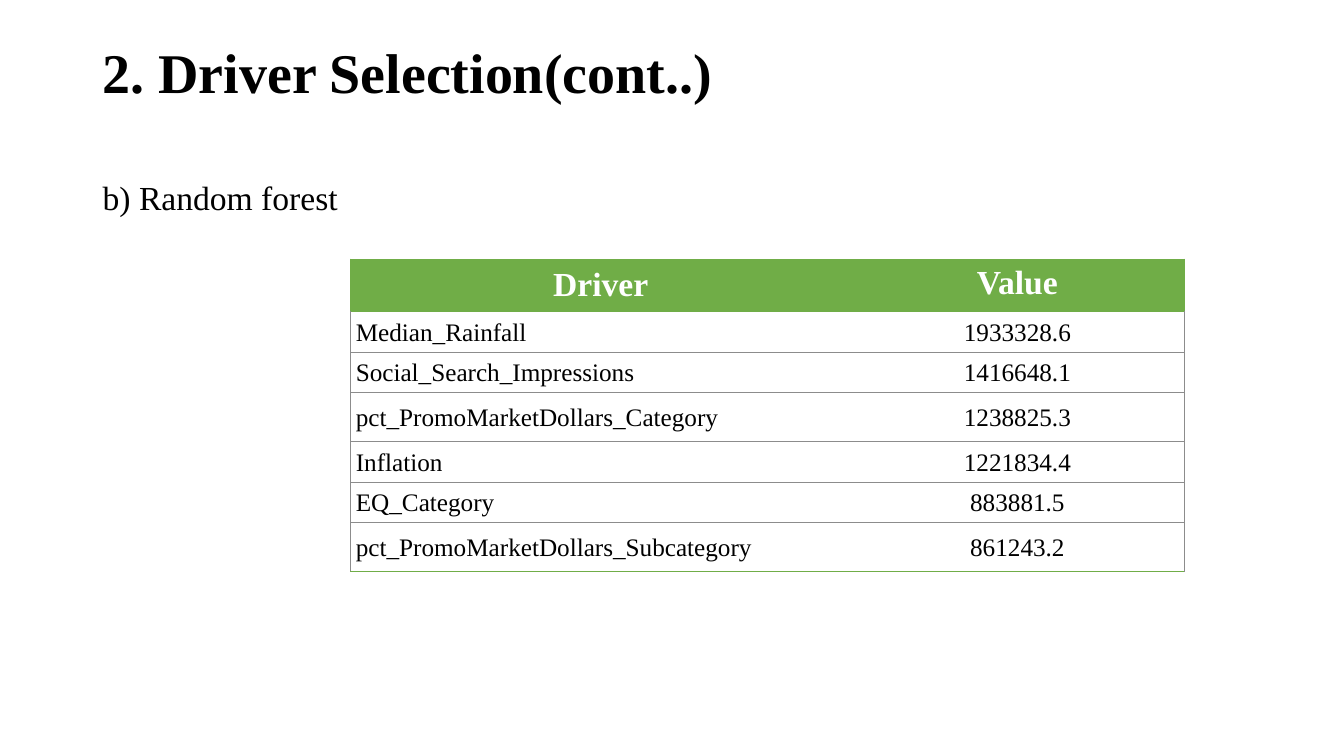
from lxml import etree
from pptx import Presentation
from pptx.dml.color import RGBColor
from pptx.enum.text import MSO_ANCHOR, PP_ALIGN
from pptx.oxml.ns import qn
from pptx.util import Inches, Pt

TOP, MIDDLE = MSO_ANCHOR.TOP, MSO_ANCHOR.MIDDLE
LEFT, CENTER = PP_ALIGN.LEFT, PP_ALIGN.CENTER
WIDTH, HEIGHT = Inches(13.33), Inches(7.5)
COLUMNS, ROWS = 100, 75
FONT = "Times New Roman"
COLORS = {"text": "000000", "header": "70AD47", "header_text": "FFFFFF", "rule": "8C8C8C"}
DRIVERS = [
    ("Median_Rainfall", "1933328.6", 3.8),
    ("Social_Search_Impressions", "1416648.1", 3.8),
    ("pct_PromoMarketDollars_Category", "1238825.3", 4.9),
    ("Inflation", "1221834.4", 3.8),
    ("EQ_Category", "883881.5", 3.8),
    ("pct_PromoMarketDollars_Subcategory", "861243.2", 4.9),
]


def across(columns):
    return round(WIDTH * columns / COLUMNS)


def down(rows):
    return round(HEIGHT * rows / ROWS)


def write(frame, text, size, color="text", bold=False, align=LEFT, spacing=0.9):
    para = frame.paragraphs[0]
    para.text = text
    para.alignment = align
    para.line_spacing = spacing
    para.font.name = FONT
    para.font.size = Pt(size)
    para.font.bold = bold
    para.font.color.rgb = RGBColor.from_string(COLORS[color])


def add_text(page, top, height, text, size, bold=False, anchor=TOP):
    box = page.shapes.add_textbox(across(6.9), down(top), across(86.25), down(height))
    frame = box.text_frame
    frame.word_wrap = True
    frame.vertical_anchor = anchor
    write(frame, text, size, bold=bold)


def set_borders(cell, **colors):
    properties = cell._tc.get_or_add_tcPr()
    for side in "LRTB":
        line = etree.SubElement(properties, qn(f"a:ln{side}"), w=str(Pt(0.5)))
        if side in colors:
            fill = etree.SubElement(line, qn("a:solidFill"))
            etree.SubElement(fill, qn("a:srgbClr"), val=COLORS[colors[side]])
        else:
            etree.SubElement(line, qn("a:noFill"))


def tighten(cell):
    cell.margin_left = cell.margin_right = Inches(0.05)
    cell.margin_top = cell.margin_bottom = Inches(0.04)
    cell.vertical_anchor = MIDDLE


def fill_header(table):
    for column, label in enumerate(("Driver", "Value")):
        cell = table.cell(0, column)
        side = "LR"[column]
        set_borders(cell, **{side: "header", "T": "header", "B": "header"})
        cell.fill.solid()
        cell.fill.fore_color.rgb = RGBColor.from_string(COLORS["header"])
        write(cell.text_frame, label, 24, "header_text", True, CENTER, 1)
    tighten(table.cell(0, 0))


def fill_drivers(table):
    for row, (driver, value, height) in enumerate(DRIVERS, 1):
        table.rows[row].height = down(height)
        above = "header" if row == 1 else "rule"
        below = "header" if row == len(DRIVERS) else "rule"
        for column, (text, align) in enumerate(((driver, LEFT), (value, CENTER))):
            cell = table.cell(row, column)
            set_borders(cell, **{"LR"[column]: "rule", "T": above, "B": below})
            cell.fill.background()
            tighten(cell)
            write(cell.text_frame, text, 18, align=align, spacing=1.07)


def add_driver_table(page):
    widths = (37.2, 24.8)
    header_height = 5.2
    height = header_height + sum(driver[2] for driver in DRIVERS)
    table = page.shapes.add_table(
        len(DRIVERS) + 1, len(widths), across(26.1), down(25.7), across(sum(widths)), down(height)
    ).table
    for column, width in zip(table.columns, widths):
        column.width = across(width)
    table.rows[0].height = down(header_height)
    table.horz_banding = False
    fill_header(table)
    fill_drivers(table)


def main():
    deck = Presentation()
    deck.slide_width, deck.slide_height = WIDTH, HEIGHT
    page = deck.slides.add_slide(deck.slide_layouts[6])
    add_text(page, 4, 6.9, "2. Driver Selection(cont..)", 40, bold=True, anchor=MIDDLE)
    add_text(page, 17.5, 47.6, "b) Random forest", 24)
    add_driver_table(page)
    deck.save("out.pptx")


if __name__ == "__main__":
    main()
